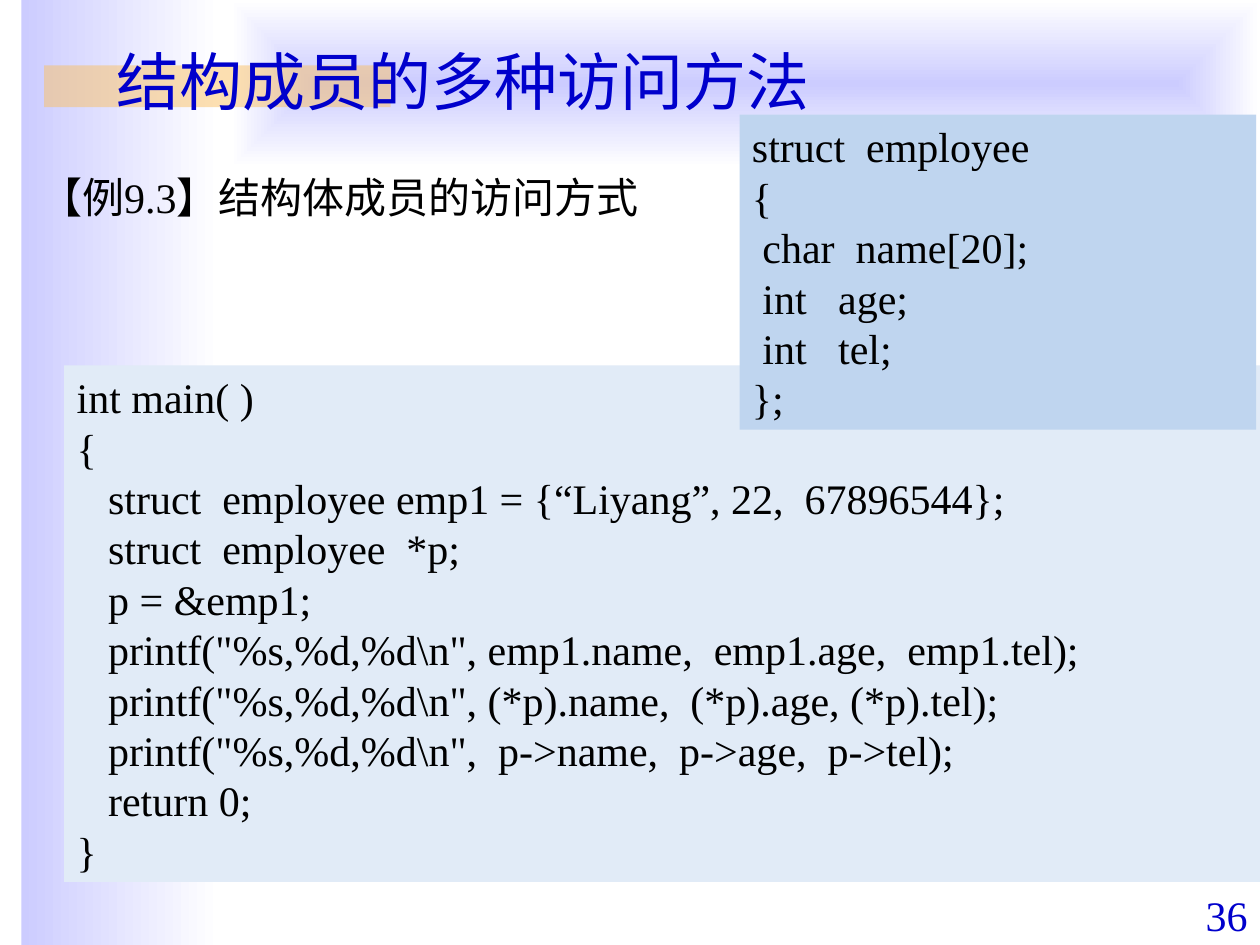
from lxml.etree import SubElement
from pptx import Presentation
from pptx.dml.color import RGBColor
from pptx.enum.shapes import MSO_SHAPE as Shape
from pptx.enum.text import MSO_ANCHOR as Anchor, PP_ALIGN as Align
from pptx.oxml.ns import qn
from pptx.util import Inches, Pt

LAVENDER = RGBColor(0xCC, 0xCC, 0xFF)
WHITE = RGBColor(0xFF, 0xFF, 0xFF)
ORANGE = RGBColor(0xFA, 0xC1, 0x64)
BLUE = RGBColor(0x00, 0x00, 0xCC)
BLACK = RGBColor(0x00, 0x00, 0x00)
PALE_BLUE = RGBColor(0xE1, 0xEB, 0xF7)
SKY_BLUE = RGBColor(0xBF, 0xD5, 0xEF)
LATIN_FONT = "Times New Roman"
CHINESE_FONT = "Noto Sans CJK SC"

MAIN_CODE = r'''int main( )
{
   struct  employee emp1 = {“Liyang”, 22,  67896544};
   struct  employee  *p;
   p = &emp1;
   printf("%s,%d,%d\n", emp1.name,  emp1.age,  emp1.tel);
   printf("%s,%d,%d\n", (*p).name,  (*p).age, (*p).tel);
   printf("%s,%d,%d\n",  p->name,  p->age,  p->tel);
   return 0;
}'''

STRUCT_CODE = '''struct  employee
{
 char  name[20];
 int   age;
 int   tel;
};'''


def add_rectangle(slide, box, color=None):
    shape = slide.shapes.add_shape(Shape.RECTANGLE, *map(Inches, box))
    shape.shadow.inherit = False
    shape.line.fill.background()
    if color is not None:
        shape.fill.solid()
        shape.fill.fore_color.rgb = color
    return shape


def write_text(shape, text, size=24, font=LATIN_FONT, color=BLACK,
               align=Align.LEFT, anchor=Anchor.TOP, wrap=True):
    frame = shape.text_frame
    frame.word_wrap = wrap
    frame.vertical_anchor = anchor
    frame.text = text
    for paragraph in frame.paragraphs:
        paragraph.alignment = align
        for run in paragraph.runs:
            run.font.name = font
            run.font.size = Pt(size)
            run.font.color.rgb = color
            east_asian = SubElement(run.font._element, qn("a:ea"))
            east_asian.set("typeface", CHINESE_FONT)


def add_label(slide, box, text, **text_format):
    write_text(slide.shapes.add_textbox(*map(Inches, box)), text, **text_format)


def add_code_panel(slide, box, code, color, **text_format):
    write_text(add_rectangle(slide, box, color), code, **text_format)


def add_gradient_band(slide, box, from_center=False):
    shape = add_rectangle(slide, box)
    shape.fill.gradient()
    shape.fill.gradient_angle = 0
    for stop, color in zip(shape.fill.gradient_stops, (LAVENDER, WHITE)):
        stop.color.rgb = color
    if from_center:
        gradient = shape.element.spPr.find(qn("a:gradFill"))
        gradient.remove(gradient.find(qn("a:lin")))
        center = SubElement(gradient, qn("a:path"), {"path": "rect"})
        SubElement(center, qn("a:fillToRect"), dict.fromkeys("ltrb", "50000"))


def add_title_accent(slide, box):
    shape = add_rectangle(slide, box, ORANGE)
    color = shape.element.spPr.find(qn("a:solidFill")).find(qn("a:srgbClr"))
    SubElement(color, qn("a:alpha"), {"val": "50000"})


def add_background(slide, width, height):
    add_gradient_band(slide, (0.17, 0, 1.58, height))
    add_gradient_band(slide, (1.83, 0, width - 1.83, 1.33), from_center=True)
    add_title_accent(slide, (0.35, 0.52, 2.75, 0.33))


def main():
    width, height = 10, 7.5
    presentation = Presentation()
    presentation.slide_width = Inches(width)
    presentation.slide_height = Inches(height)
    slide = presentation.slides.add_slide(presentation.slide_layouts[6])

    add_background(slide, width, height)
    add_label(slide, (9, 7.01, 1, 0.5), "36", color=BLUE,
              align=Align.RIGHT, anchor=Anchor.BOTTOM)
    add_label(slide, (0.83, -0.03, 8.81, 1.02), "结构成员的多种访问方法", size=36,
              font=CHINESE_FONT, color=BLUE, anchor=Anchor.BOTTOM)
    add_code_panel(slide, (0.51, 2.9, 9.49, 4.1), MAIN_CODE, PALE_BLUE,
                   anchor=Anchor.MIDDLE)
    add_label(slide, (0.22, 1.31, 5.11, 0.5), "【例9.3】结构体成员的访问方式", wrap=False)
    add_code_panel(slide, (5.87, 0.91, 4.1, 2.5), STRUCT_CODE, SKY_BLUE)
    presentation.save("out.pptx")


if __name__ == "__main__":
    main()
